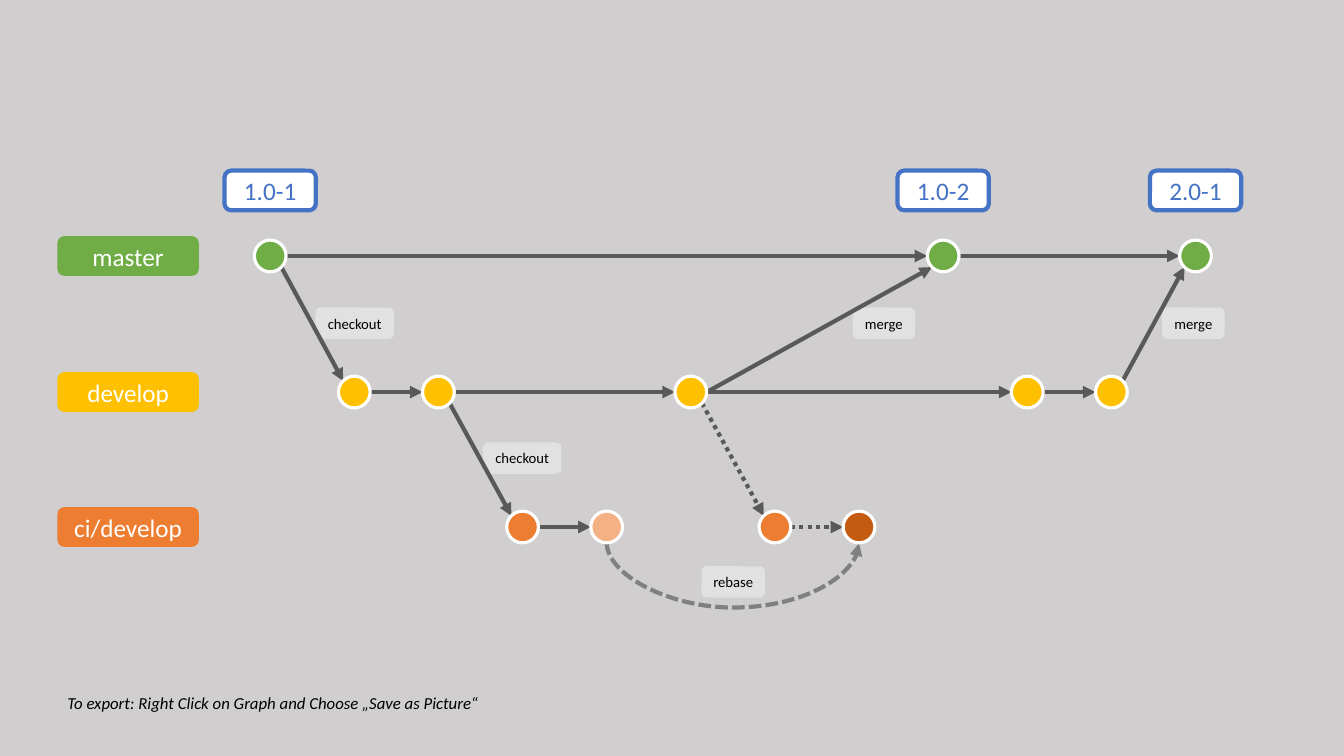
from pptx import Presentation
from pptx.dml.color import RGBColor
from pptx.enum.dml import MSO_LINE_DASH_STYLE as Dash
from pptx.enum.shapes import MSO_CONNECTOR_TYPE as Link, MSO_SHAPE as Shape
from pptx.enum.text import MSO_ANCHOR as Anchor, MSO_AUTO_SIZE as AutoSize, PP_ALIGN as Align
from pptx.oxml.ns import qn
from pptx.util import Cm, Pt
from lxml.etree import SubElement

rgb = RGBColor.from_string

deck = Presentation()
deck.slide_width, deck.slide_height = Cm(33.87), Cm(19.05)
page = deck.slides.add_slide(deck.slide_layouts[6])
page.background.fill.solid()
page.background.fill.fore_color.rgb = rgb("D0CECE")

# Grid: one lane per branch, one column per commit
GREEN, YELLOW, ORANGE, BLUE, WHITE = "70AD47", "FFC000", "ED7D31", "4472C4", "FFFFFF"
lane_y = {"master": 6.45, "develop": 9.88, "ci/develop": 13.28}
lane_colour = {"master": GREEN, "develop": YELLOW, "ci/develop": ORANGE}
column_x = [6.81 + 2.12 * i for i in range(12)]
RADIUS = 0.4
DIAGONAL = 0.28
ports = {
    "right": (RADIUS, 0), "left": (-RADIUS, 0),
    "lower right": (DIAGONAL, DIAGONAL), "upper right": (DIAGONAL, -DIAGONAL),
    "lower left": (-DIAGONAL, DIAGONAL), "upper left": (-DIAGONAL, -DIAGONAL),
}


def add_box(kind, left, top, width, height, fill, line=None, weight=0,
            text="", size=18, colour=WHITE):
    box = page.shapes.add_shape(kind, Cm(left), Cm(top), Cm(width), Cm(height))
    box.shadow.inherit = False
    box.fill.solid()
    box.fill.fore_color.rgb = rgb(fill)
    if line:
        box.line.color.rgb = rgb(line)
        box.line.width = Pt(weight)
    else:
        box.line.fill.background()
    if text:
        box.text_frame.vertical_anchor = Anchor.MIDDLE
        para = box.text_frame.paragraphs[0]
        para.alignment = Align.CENTER
        span = para.add_run()
        span.text = text
        span.font.name, span.font.size = "Calibri", Pt(size)
        span.font.color.rgb = rgb(colour)
    return box


def add_arrow(kind, x1, y1, x2, y2, colour, dash=None):
    arrow = page.shapes.add_connector(kind, Cm(x1), Cm(y1), Cm(x2), Cm(y2))
    arrow.line.color.rgb = rgb(colour)
    arrow.line.width = Pt(3)
    if dash:
        arrow.line.dash_style = dash
    SubElement(arrow.line._get_or_add_ln(), qn("a:tailEnd"), type="triangle")
    SubElement(arrow._element.spPr, qn("a:effectLst"))
    return arrow


# Action labels, behind the arrows
labels = [
    ("checkout", 7.95, 7.75, 1.98), ("merge", 21.49, 7.75, 1.57),
    ("merge", 29.29, 7.75, 1.57), ("checkout", 12.17, 11.15, 1.98),
    ("rebase", 17.68, 14.27, 1.6),
]
for text, left, top, width in labels:
    label = add_box(Shape.ROUNDED_RECTANGLE, left, top, width, 0.79, WHITE,
                    text=text, size=10.5, colour="000000")
    label.text_frame.word_wrap = False
    white = label._element.spPr.find(qn("a:solidFill"))[0]
    SubElement(white, qn("a:alpha"), val="40000")

# Rebase arc: a thin curved connector, turned on its side, bulging downwards
ARC_WIDTH, ARC_DEPTH = 0.02, 1.64
arc_x = (column_x[4] + column_x[7]) / 2
arc_y = lane_y["ci/develop"] + RADIUS
half_span = (column_x[7] - column_x[4]) / 2
arc = add_arrow(Link.CURVE, arc_x + ARC_WIDTH / 2, arc_y - half_span,
                arc_x - ARC_WIDTH / 2, arc_y + half_span, "808080", Dash.SQUARE_DOT)
arc._element.spPr.find(qn("a:xfrm")).set("rot", "16200000")
arc_guides = arc._element.spPr.find(qn("a:prstGeom")).find(qn("a:avLst"))
SubElement(arc_guides, qn("a:gd"), name="adj1",
           fmla=f"val {round(ARC_DEPTH / ARC_WIDTH * 100000)}")

# History arrows: lane, column and port at each end
arrows = [
    ("master", 0, "right", "master", 8, "left", None),
    ("master", 8, "right", "master", 11, "left", None),
    ("master", 0, "lower right", "develop", 1, "upper left", None),
    ("develop", 1, "right", "develop", 2, "left", None),
    ("develop", 2, "right", "develop", 5, "left", None),
    ("develop", 2, "lower right", "ci/develop", 3, "upper left", None),
    ("ci/develop", 3, "right", "ci/develop", 4, "left", None),
    ("develop", 5, "lower right", "ci/develop", 6, "upper left", Dash.ROUND_DOT),
    ("ci/develop", 6, "right", "ci/develop", 7, "left", Dash.ROUND_DOT),
    ("develop", 5, "right", "master", 8, "lower left", None),
    ("develop", 5, "right", "develop", 9, "left", None),
    ("develop", 9, "right", "develop", 10, "left", None),
    ("develop", 10, "upper right", "master", 11, "lower left", None),
]
for lane1, column1, port1, lane2, column2, port2, dash in arrows:
    (dx1, dy1), (dx2, dy2) = ports[port1], ports[port2]
    add_arrow(Link.STRAIGHT, column_x[column1] + dx1, lane_y[lane1] + dy1,
              column_x[column2] + dx2, lane_y[lane2] + dy2, "595959", dash)

# Branch names
for lane, y in lane_y.items():
    add_box(Shape.ROUNDED_RECTANGLE, 1.45, y - 0.5, 3.56, 1, lane_colour[lane], text=lane)

# Commits
commits = {"master": [0, 8, 11], "develop": [1, 2, 5, 9, 10], "ci/develop": [3, 4, 6, 7]}
rebased_colour = {4: "F4B183", 7: "C55A11"}
for lane, columns in commits.items():
    for column in columns:
        add_box(Shape.OVAL, column_x[column] - RADIUS, lane_y[lane] - RADIUS,
                2 * RADIUS, 2 * RADIUS,
                rebased_colour.get(column, lane_colour[lane]), WHITE, 2.25)

# Version tags above the master commits
for version, column in zip(["1.0-1", "1.0-2", "2.0-1"], commits["master"]):
    add_box(Shape.ROUNDED_RECTANGLE, column_x[column] - 1.15, 4.3, 2.3, 1,
            WHITE, BLUE, 3, version, colour=BLUE)

# Export hint
hint = page.shapes.add_textbox(Cm(1.45), Cm(17.32), Cm(10.97), Cm(0.77))
hint.text_frame.word_wrap = False
hint.text_frame.auto_size = AutoSize.SHAPE_TO_FIT_TEXT
span = hint.text_frame.paragraphs[0].add_run()
span.text = "To export: Right Click on Graph and Choose „Save as Picture“"
span.font.name, span.font.size, span.font.italic = "Calibri", Pt(12), True
span.font.color.rgb = rgb("000000")

deck.save("out.pptx")
